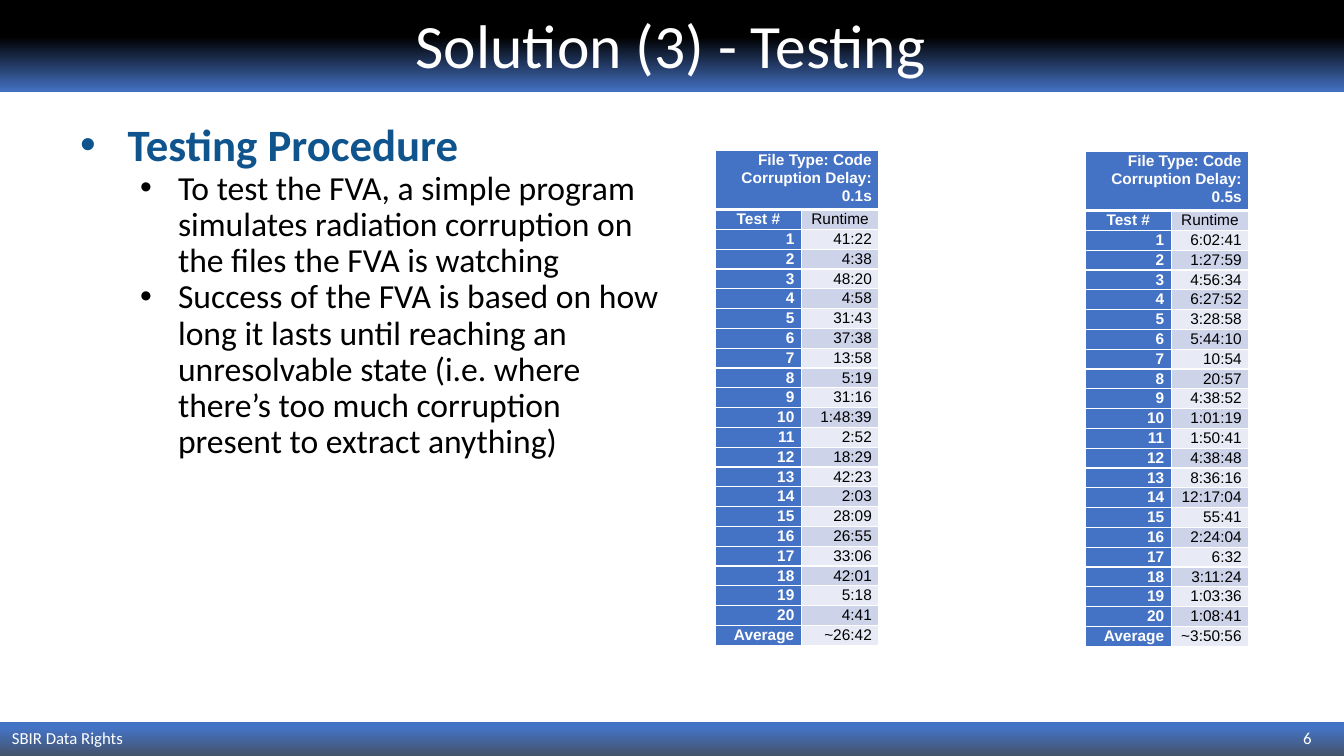
from lxml import etree
from pptx import Presentation
from pptx import util as u
from pptx.dml.color import RGBColor
from pptx.enum import shapes, text
from pptx.oxml import ns

COLORS = {"white": "FFFFFF", "black": "000000", "blue": "4472C4", "slate": "44546A",
          "heading": "0F548D", "dark_band": "CDD4EA", "light_band": "E8EBF5"}
SLIDE_WIDTH, SLIDE_HEIGHT = 960, 540
COLUMN_WIDTHS = (61.2, 55.4)
ROW_HEIGHT = 10.3
BULLETS = [
    "To test the FVA, a simple program simulates radiation corruption on the files "
    "the FVA is watching",
    "Success of the FVA is based on how long it lasts until reaching an unresolvable "
    "state (i.e. where there’s too much corruption present to extract anything)",
]
SHORT_DELAY_TIMES = (
    "41:22 4:38 48:20 4:58 31:43 37:38 13:58 5:19 31:16 1:48:39 2:52 18:29 42:23 "
    "2:03 28:09 26:55 33:06 42:01 5:18 4:41 ~26:42").split()
LONG_DELAY_TIMES = (
    "6:02:41 1:27:59 4:56:34 6:27:52 3:28:58 5:44:10 10:54 20:57 4:38:52 1:01:19 "
    "1:50:41 4:38:48 8:36:16 12:17:04 55:41 2:24:04 6:32 3:11:24 1:03:36 1:08:41 "
    "~3:50:56").split()


def rgb(name):
    return RGBColor.from_string(COLORS[name])


def place(shape, left, top, width, height):
    shape.left, shape.top = u.Pt(left), u.Pt(top)
    shape.width, shape.height = u.Pt(width), u.Pt(height)


def style(paragraph, size, color, bold=False, name="Calibri", align=None, spacing=None):
    paragraph.alignment = align
    paragraph.line_spacing = spacing
    font = paragraph.font
    font.size, font.name, font.bold = u.Pt(size), name, bold
    font.color.rgb = rgb(color)


def add_bar(slide, top, height, start, end, end_position):
    bar = slide.shapes.add_shape(shapes.MSO_SHAPE.RECTANGLE, 0, u.Pt(top),
                                 u.Pt(SLIDE_WIDTH), u.Pt(height))
    bar.shadow.inherit = False
    bar.line.fill.background()
    bar.fill.gradient()
    bar.fill.gradient_angle = 90
    stops = zip(bar.fill.gradient_stops, (start, end), (0, end_position))
    for stop, color, position in stops:
        stop.color.rgb = rgb(color)
        stop.position = position
    slide.shapes.title.element.addprevious(bar.element)


def add_footer_text(slide, words, left, width, align):
    box = slide.shapes.add_textbox(u.Pt(left), u.Pt(516.2), u.Pt(width), u.Pt(20.9))
    frame = box.text_frame
    frame.word_wrap = True
    frame.vertical_anchor = text.MSO_ANCHOR.MIDDLE
    frame.text = words
    style(frame.paragraphs[0], 12, "white", align=align)


def fill_title(title, words):
    place(title, 0, 7.9, 958.3, 53.3)
    frame = title.text_frame
    frame.text = words
    frame.auto_size = text.MSO_AUTO_SIZE.NONE
    frame.vertical_anchor = text.MSO_ANCHOR.MIDDLE
    style(frame.paragraphs[0], 44, "white", align=text.PP_ALIGN.CENTER, spacing=0.9)


def add_bullet(paragraph, color, margin, indent):
    properties = paragraph._p.get_or_add_pPr()
    properties.set("marL", str(u.Pt(margin)))
    properties.set("indent", str(u.Pt(indent)))
    bullet_color = etree.SubElement(properties, ns.qn("a:buClr"))
    etree.SubElement(bullet_color, ns.qn("a:srgbClr"), val=COLORS[color])
    etree.SubElement(properties, ns.qn("a:buFont"), typeface="Arial")
    etree.SubElement(properties, ns.qn("a:buChar"), char="•")


def fill_body(body, heading, bullets):
    place(body, 48, 84, 432, 405)
    frame = body.text_frame
    frame.text = "\n".join([heading, *bullets])
    frame.auto_size = text.MSO_AUTO_SIZE.NONE
    first, *others = frame.paragraphs
    first.space_before = u.Pt(10)
    add_bullet(first, "heading", 36, -34)
    style(first, 32, "heading", bold=True, spacing=0.9)
    for paragraph in others:
        paragraph.level = 1
        paragraph.space_before = u.Pt(0)
        add_bullet(paragraph, "black", 72, -27)
        style(paragraph, 24, "black", spacing=0.9)


def add_borders(cell, bottom_width):
    properties = cell._tc.get_or_add_tcPr()
    for side, width in (("L", 1), ("R", 1), ("T", 1), ("B", bottom_width)):
        line = etree.SubElement(properties, ns.qn(f"a:ln{side}"), w=str(u.Pt(width)))
        fill = etree.SubElement(line, ns.qn("a:solidFill"))
        etree.SubElement(fill, ns.qn("a:srgbClr"), val=COLORS["white"])


def fill_cell(cell, words, fill, color, bold, align, bottom_width):
    cell.margin_left = cell.margin_right = u.Pt(5)
    cell.margin_top = cell.margin_bottom = 0
    add_borders(cell, bottom_width)
    cell.fill.solid()
    cell.fill.fore_color.rgb = rgb(fill)
    paragraph = cell.text_frame.paragraphs[0]
    paragraph.text = words
    style(paragraph, 11, color, bold, "Arial", align, 1.07)


def add_runtime_table(slide, left, top, delay, times):
    labels = [*map(str, range(1, len(times))), "Average"]
    rows = [(f"File Type: Code\vCorruption Delay: {delay}", ""), ("Test #", "Runtime"),
            *zip(labels, times)]
    table = slide.shapes.add_table(len(rows), 2, u.Pt(left), u.Pt(top),
                                   u.Pt(sum(COLUMN_WIDTHS)),
                                   u.Pt(ROW_HEIGHT * len(rows))).table
    table.first_row = table.horz_banding = False
    for column, width in zip(table.columns, COLUMN_WIDTHS):
        column.width = u.Pt(width)
    for index, (label, time) in enumerate(rows):
        align = text.PP_ALIGN.CENTER if index == 1 else text.PP_ALIGN.RIGHT
        bottom_width = 3 if index == 0 else 1
        band = "dark_band" if index % 2 else "light_band"
        fill_cell(table.cell(index, 0), label, "blue", "white", True, align, bottom_width)
        fill_cell(table.cell(index, 1), time, band, "black", False, align, bottom_width)
    table.cell(0, 0).merge(table.cell(0, 1))


def main():
    """Build the testing slide and save it."""
    presentation = Presentation()
    presentation.slide_width = u.Pt(SLIDE_WIDTH)
    presentation.slide_height = u.Pt(SLIDE_HEIGHT)
    slide = presentation.slides.add_slide(presentation.slide_layouts[1])
    add_bar(slide, 516, 24, "slate", "blue", 0.83)
    add_bar(slide, 0, 66, "blue", "black", 0.6)
    fill_title(slide.shapes.title, "Solution (3) - Testing")
    fill_body(slide.placeholders[1], "Testing Procedure", BULLETS)
    add_footer_text(slide, "SBIR Data Rights", 1.4, 638.6, text.PP_ALIGN.LEFT)
    add_footer_text(slide, "6", 865.4, 78.5, text.PP_ALIGN.RIGHT)
    add_runtime_table(slide, 511.2, 107.3, "0.1s", SHORT_DELAY_TIMES)
    add_runtime_table(slide, 775.4, 108, "0.5s", LONG_DELAY_TIMES)
    presentation.save("out.pptx")


if __name__ == "__main__":
    main()
